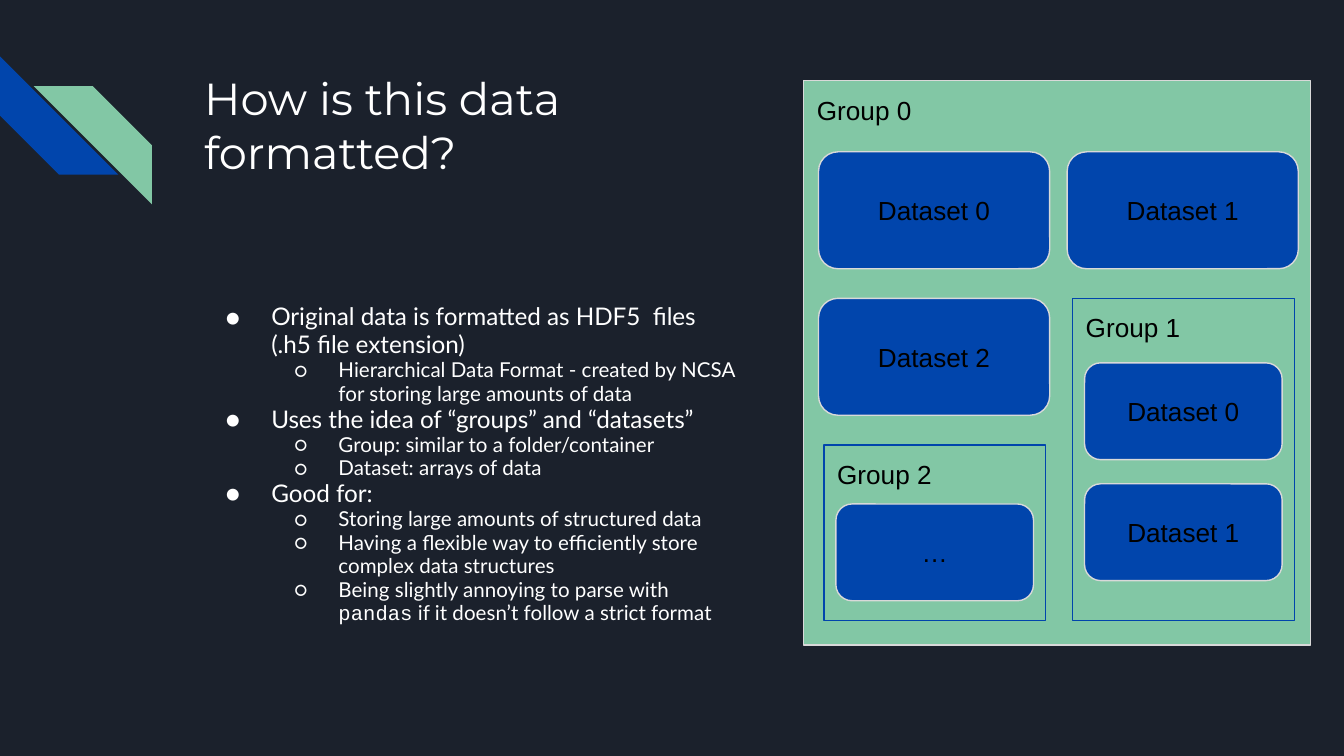
from lxml import etree
from pptx import Presentation
from pptx.dml.color import RGBColor
from pptx.enum.shapes import MSO_SHAPE
from pptx.enum.text import MSO_ANCHOR, PP_ALIGN
from pptx.oxml.ns import qn
from pptx.util import Inches, Pt

RECTANGLE = MSO_SHAPE.RECTANGLE
ROUNDED = MSO_SHAPE.ROUNDED_RECTANGLE
STRIPE = MSO_SHAPE.DIAGONAL_STRIPE
TOP, MIDDLE = MSO_ANCHOR.TOP, MSO_ANCHOR.MIDDLE
LEFT, CENTER = PP_ALIGN.LEFT, PP_ALIGN.CENTER

COLORS = {
    "background": "1B212C",
    "blue": "0145AC",
    "green": "82C7A5",
    "gray": "D9D9D9",
    "white": "FFFFFF",
    "black": "000000",
}


def add_run(paragraph, text, font, size, color):
    run = paragraph.add_run()
    run.text = text
    run.font.name = font
    run.font.size = Pt(size)
    run.font.color.rgb = RGBColor.from_string(COLORS[color])


def prepare_frame(shape, anchor):
    frame = shape.text_frame
    frame.word_wrap = True
    frame.vertical_anchor = anchor
    frame.margin_left = frame.margin_right = Inches(0.1)
    frame.margin_top = frame.margin_bottom = Inches(0.1)
    return frame


# Slide in 16:9
presentation = Presentation()
presentation.slide_width = Inches(10)
presentation.slide_height = Inches(10) * 9 // 16
slide = presentation.slides.add_slide(presentation.slide_layouts[6])
slide.background.fill.solid()
slide.background.fill.fore_color.rgb = RGBColor.from_string(COLORS["background"])

# Corner stripes
for left, top, color in [(0, 0.42, "blue"), (0.25, 0.64, "green")]:
    stripe = slide.shapes.add_shape(
        STRIPE, Inches(left), Inches(top), Inches(0.88), Inches(0.88))
    stripe.shadow.inherit = False
    stripe.fill.solid()
    stripe.fill.fore_color.rgb = RGBColor.from_string(COLORS[color])
    stripe.line.fill.background()
    if color == "blue":
        stripe.rotation = 270
    else:
        stripe.element.spPr.find(qn("a:xfrm")).set("flipH", "1")

# Title
title = slide.shapes.add_textbox(Inches(1.42), Inches(0.43), Inches(4.15), Inches(1.63))
paragraph = prepare_frame(title, TOP).paragraphs[0]
add_run(paragraph, "How is this data formatted?", "Montserrat", 24, "white")

# Bulleted text: level and runs, each run with its font
bullets = [
    (0, [("Original data is formatted as HDF5  files (.h5 file extension)", "Lato")]),
    (1, [("Hierarchical Data Format - created by NCSA for storing large amounts of data", "Lato")]),
    (0, [("Uses the idea of “groups” and “datasets”", "Lato")]),
    (1, [("Group: similar to a folder/container", "Lato")]),
    (1, [("Dataset: arrays of data", "Lato")]),
    (0, [("Good for:", "Lato")]),
    (1, [("Storing large amounts of structured data", "Lato")]),
    (1, [("Having a flexible way to efficiently store complex data structures", "Lato")]),
    (1, [("Being slightly annoying to parse with ", "Lato"),
         ("pandas", "Courier New"),
         (" if it doesn’t follow a strict format", "Lato")]),
]
# Size, indent, hanging indent and bullet sign of each level
levels = [(13, 0.5, -0.34, "●"), (11, 1, -0.33, "○")]

body = slide.shapes.add_textbox(Inches(1.42), Inches(2.16), Inches(4.15), Inches(2.64))
frame = prepare_frame(body, TOP)
for index, (level, runs) in enumerate(bullets):
    size, indent, hanging, sign = levels[level]
    paragraph = frame.add_paragraph() if index else frame.paragraphs[0]
    paragraph.level = level
    paragraph.line_spacing = 0.95
    properties = paragraph._p.get_or_add_pPr()
    properties.set("marL", str(Inches(indent)))
    properties.set("indent", str(Inches(hanging)))
    bullet_color = etree.SubElement(properties, qn("a:buClr"))
    etree.SubElement(bullet_color, qn("a:srgbClr"), val=COLORS["white"])
    etree.SubElement(properties, qn("a:buFont"), typeface="Lato")
    etree.SubElement(properties, qn("a:buChar"), char=sign)
    for text, font in runs:
        add_run(paragraph, text, font, size, "white")

# Nested groups and datasets, from back to front
large, small = (1.72, 0.87), (1.47, 0.72)
boxes = [
    ("Group 0", 5.98, 0.6, (3.77, 4.2), "gray"),
    ("Dataset 0", 6.09, 1.13, large, "gray"),
    ("Dataset 1", 7.94, 1.13, large, "gray"),
    ("Dataset 2", 6.09, 2.22, large, "gray"),
    ("Group 1", 7.98, 2.22, (1.65, 2.4), "blue"),
    ("Dataset 0", 8.07, 2.7, small, "gray"),
    ("Dataset 1", 8.07, 3.6, small, "gray"),
    ("Group 2", 6.13, 3.31, (1.65, 1.31), "blue"),
    ("…", 6.22, 3.75, small, "gray"),
]
for label, left, top, (width, height), line_color in boxes:
    is_group = label.startswith("Group")
    box = slide.shapes.add_shape(
        RECTANGLE if is_group else ROUNDED,
        Inches(left), Inches(top), Inches(width), Inches(height))
    box.shadow.inherit = False
    box.fill.solid()
    box.fill.fore_color.rgb = RGBColor.from_string(COLORS["green" if is_group else "blue"])
    box.line.color.rgb = RGBColor.from_string(COLORS[line_color])
    box.line.width = Pt(0.75)
    paragraph = prepare_frame(box, TOP if is_group else MIDDLE).paragraphs[0]
    paragraph.alignment = LEFT if is_group else CENTER
    add_run(paragraph, label, "Arial", 14, "black")

presentation.save("out.pptx")
